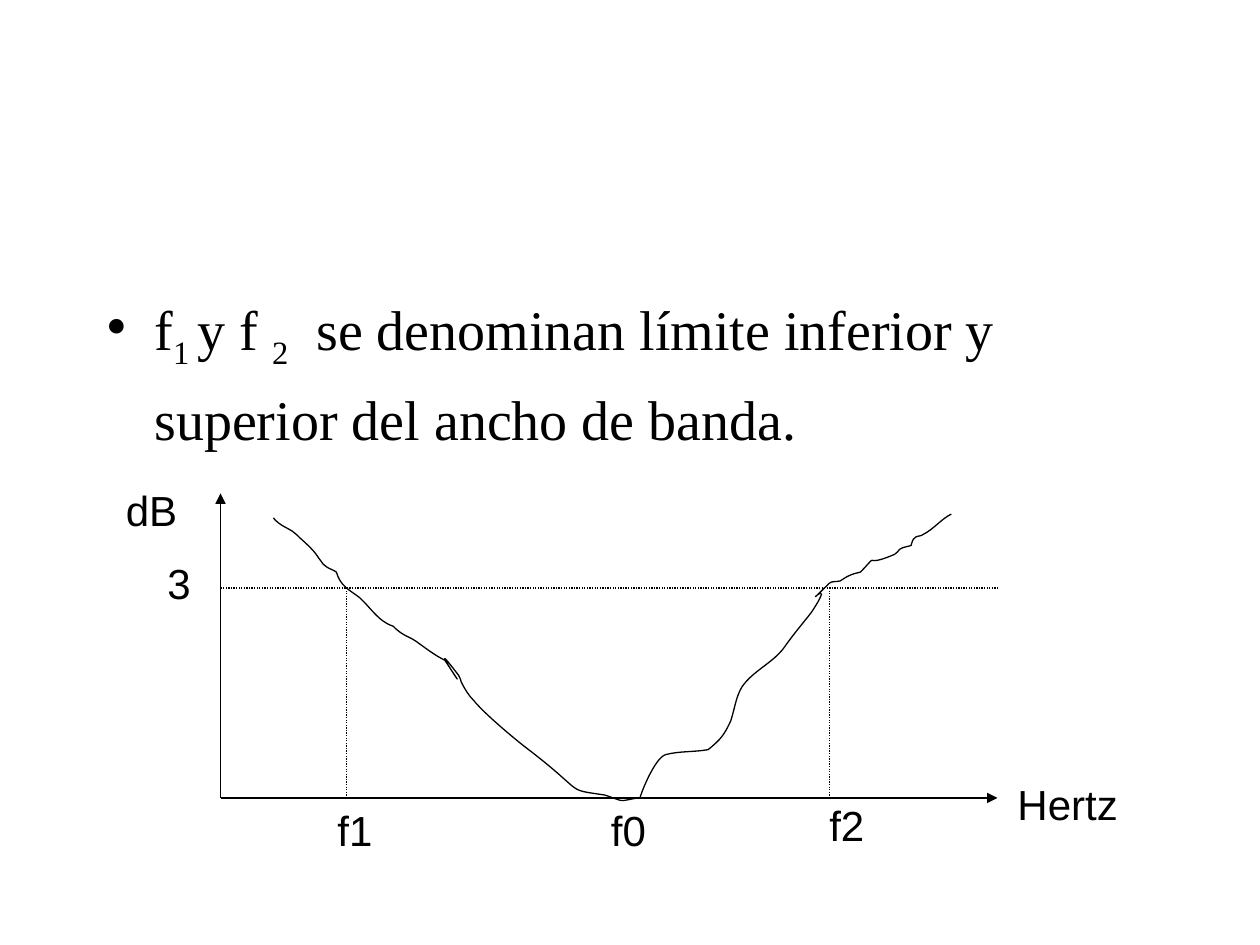
from lxml import etree
from pptx import Presentation
from pptx.dml.color import RGBColor
from pptx.enum.dml import MSO_LINE
from pptx.enum.shapes import MSO_CONNECTOR
from pptx.enum.text import MSO_ANCHOR, MSO_AUTO_SIZE, PP_ALIGN
from pptx.oxml.ns import qn
from pptx.util import Inches, Pt

STRAIGHT = MSO_CONNECTOR.STRAIGHT
DOTTED = MSO_LINE.ROUND_DOT  # written as sysDot
NO_FIT = MSO_AUTO_SIZE.NONE
FIT_SHAPE = MSO_AUTO_SIZE.SHAPE_TO_FIT_TEXT
TOP = MSO_ANCHOR.TOP
LEFT = PP_ALIGN.LEFT

BLACK = "000000"
GRID = 1 / 12  # inches per grid step

# Response curve: start point, then Bezier segments (two controls and an end),
# in inches from the curve's own origin
CURVE_START = (0.17, 0.11)
CURVE_SEGMENTS = [
    (0.18, 0.12, 0.19, 0.14, 0.21, 0.15), (0.26, 0.19, 0.31, 0.20, 0.35, 0.24),
    (0.41, 0.30, 0.48, 0.35, 0.53, 0.43), (0.55, 0.45, 0.56, 0.48, 0.58, 0.49),
    (0.60, 0.51, 0.64, 0.52, 0.67, 0.54), (0.70, 0.65, 0.77, 0.68, 0.85, 0.74),
    (0.95, 0.83, 1.00, 0.93, 1.12, 0.97), (1.21, 1.06, 1.24, 1.04, 1.33, 1.11),
    (1.40, 1.16, 1.45, 1.20, 1.53, 1.24), (1.83, 1.69, 1.32, 0.94, 1.64, 1.36),
    (1.66, 1.38, 1.65, 1.40, 1.67, 1.43), (1.69, 1.47, 1.72, 1.52, 1.76, 1.56),
    (1.85, 1.67, 2.08, 1.86, 2.17, 1.93), (2.67, 2.31, 2.47, 2.26, 2.80, 2.31),
    (2.98, 2.37, 2.89, 2.36, 3.08, 2.33), (3.10, 2.26, 3.20, 2.02, 3.28, 1.99),
    (3.39, 1.96, 3.51, 1.97, 3.62, 1.95), (3.72, 1.87, 3.75, 1.83, 3.80, 1.72),
    (3.83, 1.63, 3.84, 1.53, 3.89, 1.45), (3.98, 1.32, 4.14, 1.26, 4.23, 1.13),
    (4.30, 1.03, 4.37, 0.95, 4.44, 0.86), (4.67, 0.51, 4.30, 0.91, 4.58, 0.63),
    (4.60, 0.61, 4.64, 0.62, 4.67, 0.61), (4.70, 0.59, 4.73, 0.57, 4.76, 0.56),
    (4.78, 0.55, 4.80, 0.55, 4.83, 0.54), (5.00, 0.36, 4.82, 0.52, 5.10, 0.40),
    (5.12, 0.39, 5.13, 0.37, 5.14, 0.36), (5.17, 0.34, 5.20, 0.34, 5.23, 0.33),
    (5.24, 0.31, 5.24, 0.28, 5.26, 0.27), (5.27, 0.25, 5.31, 0.26, 5.33, 0.24),
    (5.41, 0.20, 5.47, 0.12, 5.55, 0.08),
]


def color(hex_code):
    return RGBColor.from_string(hex_code)


def add_run(paragraph, text, font_name, size, baseline=None):
    run = paragraph.add_run()
    run.text = text
    run.font.name = font_name
    run.font.size = Pt(size)
    run.font.color.rgb = color(BLACK)
    if baseline:
        run.font._element.set("baseline", str(baseline * 1000))


def style_line(line):
    line.color.rgb = color(BLACK)
    line.width = Pt(0.75)


def add_line(slide, x1, y1, x2, y2, dash=None, arrow=None):
    connector = slide.shapes.add_connector(
        STRAIGHT, Inches(x1), Inches(y1), Inches(x2), Inches(y2))
    style_line(connector.line)
    if dash:
        connector.line.dash_style = dash
    if arrow:
        outline = connector.line._get_or_add_ln()
        etree.SubElement(outline, qn(arrow), type="triangle")
    etree.SubElement(connector._element.spPr, qn("a:effectLst"))


def add_label(slide, text, left, top, width):
    label = slide.shapes.add_textbox(
        Inches(left), Inches(top), Inches(width), Inches(0.5))
    label.text_frame.word_wrap = False
    label.text_frame.auto_size = FIT_SHAPE
    paragraph = label.text_frame.paragraphs[0]
    paragraph.alignment = LEFT
    add_run(paragraph, text, "Arial", 24)


def add_curve(slide, left, top):
    def place(x, y):
        return Inches(left + x), Inches(top + y)

    builder = slide.shapes.build_freeform(*place(*CURVE_START))
    builder.add_line_segments(
        [place(*segment[4:]) for segment in CURVE_SEGMENTS], close=False)
    curve = builder.convert_to_shape()
    curve.fill.background()
    style_line(curve.line)
    curve.shadow.inherit = False

    # Turn each straight piece into its Bezier segment
    pieces = list(curve._element.iter(qn("a:lnTo")))
    for piece, segment in zip(pieces, CURVE_SEGMENTS):
        bend = etree.Element(qn("a:cubicBezTo"))
        for x, y in zip(segment[::2], segment[1::2]):
            x, y = place(x, y)
            etree.SubElement(bend, qn("a:pt"),
                             x=str(x - curve.left), y=str(y - curve.top))
        piece.getparent().replace(piece, bend)


def fill_definition(body, left, top, width, height):
    body.left, body.top = Inches(left), Inches(top)
    body.width, body.height = Inches(width), Inches(height)
    frame = body.text_frame
    frame.word_wrap = True
    frame.auto_size = NO_FIT
    frame.vertical_anchor = TOP
    paragraph = frame.paragraphs[0]
    paragraph.alignment = LEFT
    paragraph.line_spacing = 1.2
    paragraph.space_before = Pt(6.4)
    paragraph.space_after = Pt(12.8)
    # Hanging bullet
    hang = Inches(3 / 8)
    properties = paragraph._p.get_or_add_pPr()
    properties.set("marL", str(hang))
    properties.set("indent", str(-hang))
    etree.SubElement(properties, qn("a:buFontTx"))
    etree.SubElement(properties, qn("a:buChar"), char="•")
    for text, baseline in (
            ("f", None), ("1 ", -25), ("y f ", None), ("2", -25),
            ("  se denominan límite inferior y superior del ancho de banda.", None)):
        add_run(paragraph, text, "Times New Roman", 32, baseline)


def add_response_graph(slide, left, top, width, height):
    right, bottom = left + width, top + height
    threshold = top + 0.75
    lower, upper = left + 1, left + 58 * GRID

    # Axes
    add_line(slide, left, top, left, bottom, arrow="a:headEnd")
    add_line(slide, left, bottom, right, bottom, arrow="a:tailEnd")

    # 3 dB level and band limits
    add_line(slide, left, threshold, right, threshold, DOTTED)
    for limit in (lower, upper):
        add_line(slide, limit, threshold, limit, bottom, DOTTED)

    add_curve(slide, left + 0.25, top + GRID)

    # Frequency, unit and level labels
    add_label(slide, "f1", lower - 0.17, bottom, 0.48)
    add_label(slide, "f2", upper - 0.10, bottom - 0.04, 0.48)
    add_label(slide, "f0", left + 3, bottom, 0.48)
    add_label(slide, "dB", left - 0.85, top - 0.12, 0.61)
    add_label(slide, "Hertz", right + 0.06, bottom - 0.20, 1)
    add_label(slide, "3", left - 0.52, threshold - 0.29, 0.39)


def main():
    presentation = Presentation()
    presentation.slide_width = Inches(10)
    presentation.slide_height = Inches(7.5)
    slide = presentation.slides.add_slide(presentation.slide_layouts[1])

    # The slide has no title
    title = slide.shapes.title._element
    title.getparent().remove(title)

    fill_definition(slide.placeholders[1], 0.75, 26 * GRID, 8.5, 59 * GRID)
    add_response_graph(slide, 1.75, 47 * GRID, 74 * GRID, 29 * GRID)
    presentation.save("out.pptx")


if __name__ == "__main__":
    main()
